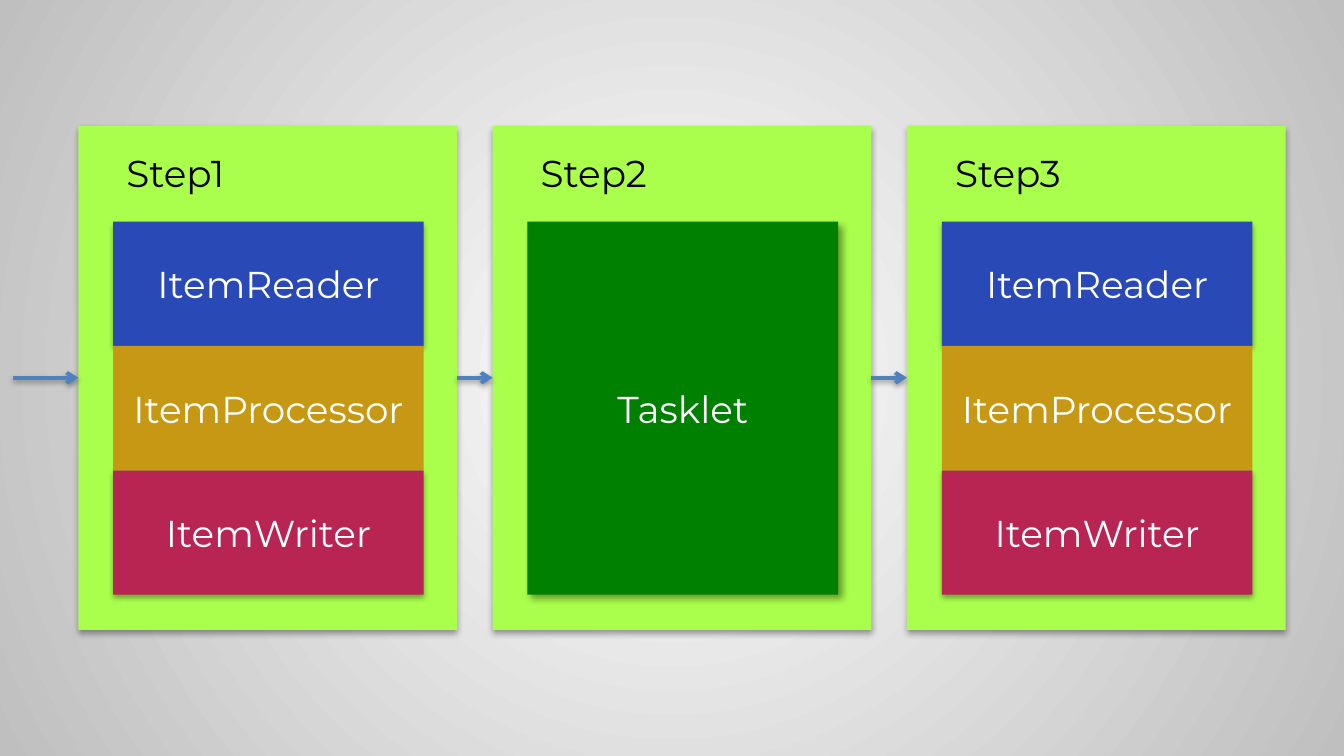
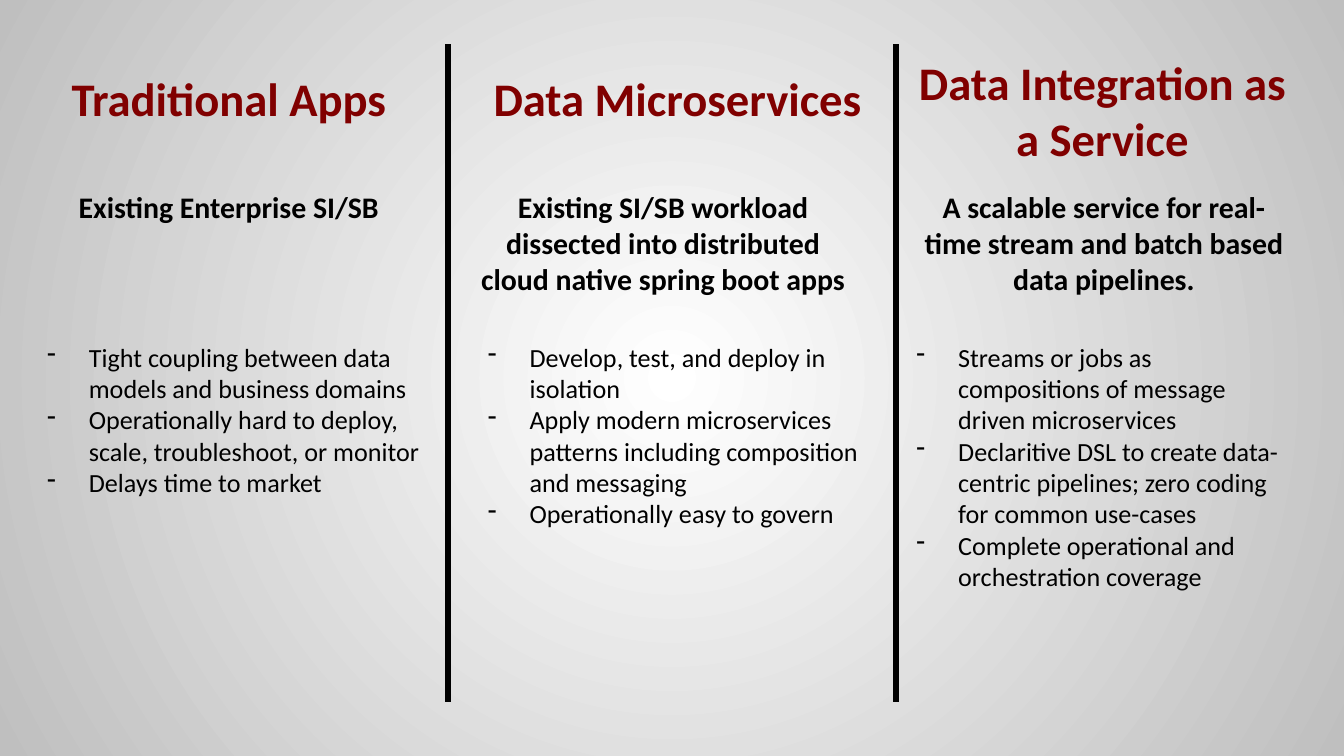
from lxml import etree
from pptx import Presentation
from pptx.dml.color import RGBColor
from pptx.enum.shapes import MSO_CONNECTOR, MSO_SHAPE
from pptx.enum.text import MSO_ANCHOR, MSO_AUTO_SIZE, PP_ALIGN
from pptx.oxml.ns import qn
from pptx.util import Cm, Pt

STRAIGHT = MSO_CONNECTOR.STRAIGHT
RECTANGLE = MSO_SHAPE.RECTANGLE
MIDDLE, TOP = MSO_ANCHOR.MIDDLE, MSO_ANCHOR.TOP
GROW = MSO_AUTO_SIZE.SHAPE_TO_FIT_TEXT
LEFT, CENTER = PP_ALIGN.LEFT, PP_ALIGN.CENTER

WHITE = RGBColor(0xFF, 0xFF, 0xFF)
BLACK = RGBColor(0x00, 0x00, 0x00)
SILVER = RGBColor(0xBF, 0xBF, 0xBF)
LIME = RGBColor(0xAA, 0xFF, 0x4C)
BLUE = RGBColor(0x29, 0x49, 0xB6)
CRIMSON = RGBColor(0xB9, 0x25, 0x52)
OCHRE = RGBColor(0xC7, 0x98, 0x13)
GREEN = RGBColor(0x00, 0x80, 0x00)
STEEL = RGBColor(0x4F, 0x81, 0xBD)
MAROON = RGBColor(0x80, 0x00, 0x00)

# Shadows: opacity in percent, blur and distance in points, angle in degrees
CARD_SHADOW = (35, 3.1, 1.8, 90)
TASKLET_SHADOW = (40, 4, 3, 45)
ARROW_SHADOW = (38, 3.1, 1.6, 90)

DIAGRAM_FONT, BODY_FONT = "Montserrat", "Calibri"
BULLET_INDENT = Cm(0.79)

CARD_LEFT, CARD_TOP, CARD_WIDTH, CARD_HEIGHT = 1.48, 2.38, 7.16, 9.53
CARD_PITCH = 7.83
CARD_PADDING = 0.66
STAGE_TOP, STAGE_WIDTH, STAGE_HEIGHT = 4.19, 5.87, 2.35
ARROW_START, ARROW_Y = 0.25, 7.14

# Name, colour, row and shadow of each stage, from back to front
STAGES = [
    ("ItemReader", BLUE, 0, CARD_SHADOW),
    ("ItemWriter", CRIMSON, 2, CARD_SHADOW),
    ("ItemProcessor", OCHRE, 1, None),
]

# Each text comes with its box: left, top, width, height
COLUMNS = [
    (
        ("Traditional Apps", (0.64, 1.19, 7.37, 1.32)),
        ("Existing Enterprise SI/SB", (0.64, 3.45, 7.37, 0.94)),
        (
            [
                "Tight coupling between data models and business domains",
                "Operationally hard to deploy, scale, troubleshoot, or monitor",
                "Delays time to market",
            ],
            (0.64, 6.32, 7.77, 3.25),
        ),
    ),
    (
        ("Data Microservices", (8.97, 1.19, 7.67, 1.32)),
        (
            "Existing SI/SB workload dissected into distributed "
            "cloud native spring boot apps",
            (8.74, 3.45, 7.59, 2.31),
        ),
        (
            [
                "Develop, test, and deploy in isolation",
                "Apply modern microservices patterns including "
                "composition and messaging",
                "Operationally easy to govern",
            ],
            (8.97, 6.32, 7.59, 3.84),
        ),
    ),
    (
        ("Data Integration as a Service", (17.04, 0.89, 7.59, 2.39)),
        (
            "A scalable service for real-time stream and batch based "
            "data pipelines.",
            (17.07, 3.45, 7.59, 2.31),
        ),
        (
            [
                "Streams or jobs as compositions of message driven microservices",
                "Declaritive DSL to create data-centric pipelines; "
                "zero coding for common use-cases",
                "Complete operational and orchestration coverage",
            ],
            (17.07, 6.32, 7.59, 5.05),
        ),
    ),
]


def add_child(parent, tag, **attributes):
    child = etree.SubElement(parent, qn(tag))
    for name, value in attributes.items():
        child.set(name, str(value))
    return child


def write_text(frame, text, *, size, font, color, bold=False, align=LEFT,
               anchor=TOP, bullet=None):
    """Fill a text frame with one paragraph, or one for each item of a list."""
    frame.vertical_anchor = anchor
    lines = [text] if isinstance(text, str) else text
    for index, line in enumerate(lines):
        paragraph = frame.add_paragraph() if index else frame.paragraphs[0]
        paragraph.alignment = align
        if bullet:
            properties = paragraph._p.get_or_add_pPr()
            properties.set("marL", str(BULLET_INDENT))
            properties.set("indent", str(-BULLET_INDENT))
            add_child(properties, "a:buChar", char=bullet)
        run = paragraph.add_run()
        run.text = line
        run.font.name = font
        run.font.size = Pt(size)
        run.font.bold = bold
        run.font.color.rgb = color


def set_shadow(shape, shadow):
    """Replace the theme shadow by the given one, or by none."""
    properties = shape._element.spPr
    effects = add_child(properties, "a:effectLst")
    if shadow:
        opacity, blur, distance, angle = shadow
        outer = add_child(effects, "a:outerShdw", blurRad=Pt(blur),
                          dist=Pt(distance), dir=angle * 60000,
                          algn="tl", rotWithShape=0)
        color = add_child(outer, "a:srgbClr", val=BLACK)
        add_child(color, "a:alpha", val=opacity * 1000)


class Deck:
    """Holds the presentation, the current slide and where shapes are added."""

    def __init__(self):
        self.presentation = Presentation()
        self.presentation.slide_width = Cm(25.4)
        self.presentation.slide_height = Cm(14.29)

    def new_slide(self):
        layout = self.presentation.slide_layouts[6]
        self.slide = self.presentation.slides.add_slide(layout)
        self.shapes = self.slide.shapes
        fill = self.slide.background.fill
        fill.gradient()
        for stop, color in zip(fill.gradient_stops, (WHITE, SILVER)):
            stop.color.rgb = color
        gradient = self.slide._element.find(".//" + qn("a:gradFill"))
        gradient.remove(gradient.find(qn("a:lin")))
        circle = add_child(gradient, "a:path", path="circle")
        add_child(circle, "a:fillToRect", l=50000, t=50000, r=50000, b=50000)

    def start_group(self):
        self.shapes = self.slide.shapes.add_group_shape().shapes

    def end_group(self):
        self.shapes = self.slide.shapes

    def block(self, box, color, text=None, shadow=None):
        shape = self.shapes.add_shape(RECTANGLE, *map(Cm, box))
        shape.fill.solid()
        shape.fill.fore_color.rgb = color
        shape.line.fill.background()
        set_shadow(shape, shadow)
        if text:
            write_text(shape.text_frame, text, size=20, font=DIAGRAM_FONT,
                       color=WHITE, align=CENTER, anchor=MIDDLE)

    def text(self, box, text, wrap=True, **style):
        frame = self.shapes.add_textbox(*map(Cm, box)).text_frame
        frame.word_wrap = wrap
        frame.auto_size = GROW
        write_text(frame, text, **style)

    def line(self, start, end, color, width, arrow=False, shadow=None):
        connector = self.shapes.add_connector(STRAIGHT, *map(Cm, start + end))
        connector.line.color.rgb = color
        connector.line.width = Pt(width)
        if arrow:
            add_child(connector.line._get_or_add_ln(), "a:tailEnd", type="arrow")
        set_shadow(connector, shadow)


def card_left(index):
    return CARD_LEFT + index * CARD_PITCH


def add_step(deck, index, stages):
    """Add a card with its label and either the three stages or a tasklet."""
    left = card_left(index)
    inner = left + CARD_PADDING
    deck.block((left, CARD_TOP, CARD_WIDTH, CARD_HEIGHT), LIME,
               shadow=CARD_SHADOW)
    if stages:
        for name, color, row, shadow in stages:
            top = STAGE_TOP + row * STAGE_HEIGHT
            deck.block((inner, top, STAGE_WIDTH, STAGE_HEIGHT), color, name, shadow)
    else:
        deck.block((inner, STAGE_TOP, STAGE_WIDTH, 3 * STAGE_HEIGHT), GREEN,
                   "Tasklet", TASKLET_SHADOW)
    deck.text((inner, 2.72, 2.57, 1.12), f"Step{index + 1}", wrap=False,
              size=20, font=DIAGRAM_FONT, color=BLACK)


def build_job_slide(deck):
    deck.new_slide()
    for index in (2, 1, 0):
        if index == 1:
            add_step(deck, index, None)
        else:
            deck.start_group()
            add_step(deck, index, STAGES)
            deck.end_group()
    for index in range(3):
        start = card_left(index - 1) + CARD_WIDTH if index else ARROW_START
        deck.line((start, ARROW_Y), (card_left(index), ARROW_Y), STEEL, 2,
                  arrow=True, shadow=ARROW_SHADOW)


def build_comparison_slide(deck):
    deck.new_slide()
    for (title, title_box), (summary, summary_box), (points, points_box) in COLUMNS:
        deck.text(title_box, title, size=25, font=BODY_FONT, color=MAROON,
                  bold=True, align=CENTER)
        deck.text(summary_box, summary, size=16, font=BODY_FONT, color=BLACK,
                  bold=True, align=CENTER)
        deck.text(points_box, points, size=14, font=BODY_FONT, color=BLACK,
                  bullet="-")
    for column in (1, 2):
        x = column * 25.4 / 3
        deck.line((x, 0.84), (x, 13.26), BLACK, 3)


def main():
    deck = Deck()
    build_job_slide(deck)
    build_comparison_slide(deck)
    deck.presentation.save("out.pptx")


if __name__ == "__main__":
    main()
